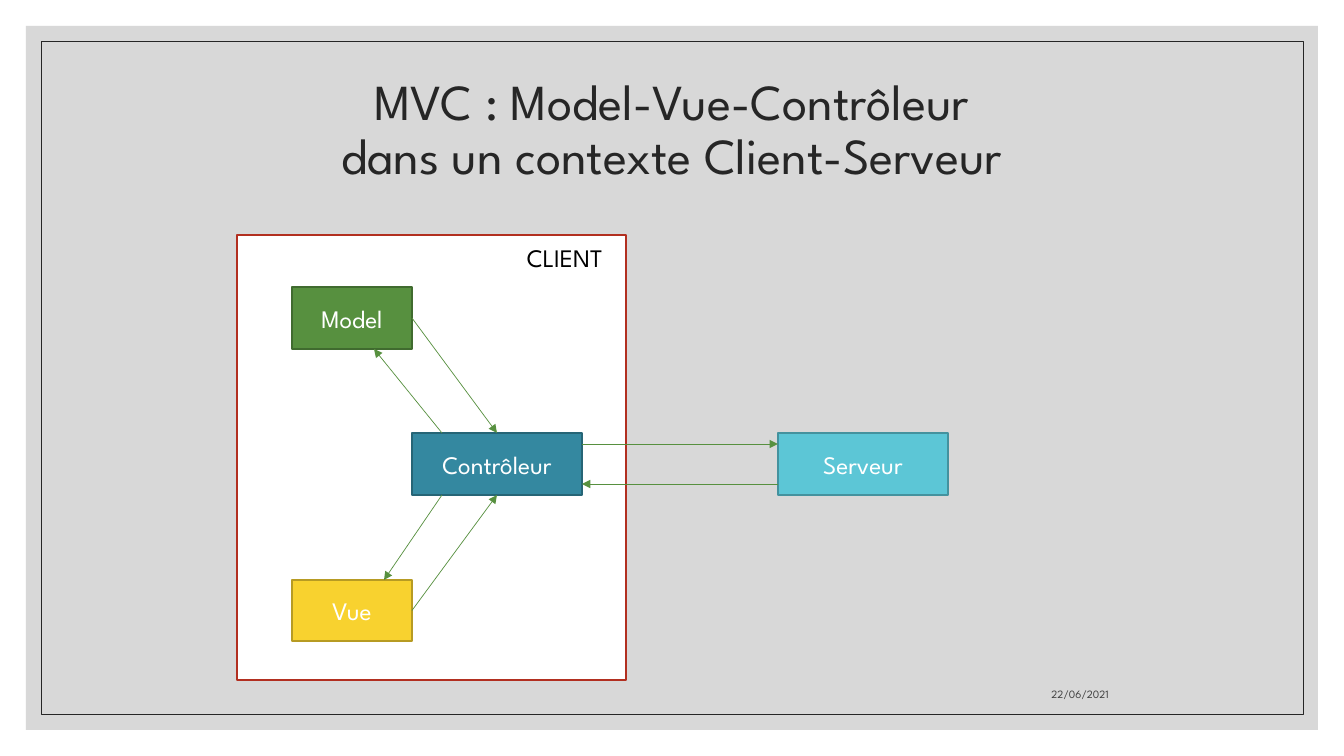
from pptx import Presentation
from pptx import util as u
from pptx.dml.color import RGBColor
from pptx.enum import shapes, text
from pptx.oxml import ns
from lxml import etree

PX = 914400 / 100.8
FONT = "League Spartan"
TOP, RIGHT, BOTTOM = 0, 3, 2


def px(*lengths):
    return [u.Emu(round(length * PX)) for length in lengths]


def color(value):
    return RGBColor.from_string(value)


deck = Presentation()
deck.slide_width, deck.slide_height = px(1344, 756)
page = deck.slides.add_slide(deck.slide_layouts[6])

# Panels and boxes: key, left, top, width, height, fill, line, line width
rectangles = [
    ("Backdrop", 26, 26, 1292, 704, "BFBFBF", None, 0),
    ("Frame", 41, 41, 1262, 673, None, "262626", 0.5),
    ("Client", 237, 235, 389, 445, "FFFFFF", "B22F20", 1),
    ("Contrôleur", 412, 433, 170, 62, "3488A0", "266576", 1),
    ("Model", 292, 287, 120, 62, "57903F", "406B2F", 1),
    ("Vue", 292, 580, 120, 61, "F8D22F", "B79B23", 1),
    ("Serveur", 778, 433, 170, 62, "5CC6D6", "44929E", 1),
]
boxes = {}
for key, left, top, width, height, fill, line, weight in rectangles:
    box = page.shapes.add_shape(shapes.MSO_SHAPE.RECTANGLE, *px(left, top, width, height))
    box.shadow.inherit = False
    if fill:
        box.fill.solid()
        box.fill.fore_color.rgb = color(fill)
    else:
        box.fill.background()
    if line:
        box.line.color.rgb = color(line)
        box.line.width = u.Pt(weight)
    else:
        box.line.fill.background()
    boxes[key] = box

backdrop_color = boxes["Backdrop"].fill._xPr.find(".//" + ns.qn("a:srgbClr"))
etree.SubElement(backdrop_color, ns.qn("a:alpha"), val="60000")

for word in ("Contrôleur", "Model", "Vue", "Serveur"):
    frame = boxes[word].text_frame
    frame.vertical_anchor = text.MSO_ANCHOR.MIDDLE
    para = frame.paragraphs[0]
    para.text = word
    para.alignment = text.PP_ALIGN.CENTER
    para.font.name = FONT
    para.font.size = u.Pt(18)
    para.font.color.rgb = color("FFFFFF")

# Arrows: start, end, joined box and side at start, then at end
arrows = [
    ((442, 433), (374, 349), None, None),
    ((442, 495), (384, 580), None, None),
    ((412, 611), (497, 495), ("Vue", RIGHT), ("Contrôleur", BOTTOM)),
    ((412, 318), (497, 433), ("Model", RIGHT), ("Contrôleur", TOP)),
    ((582, 444), (778, 444), None, None),
    ((778, 484), (582, 484), None, None),
]
for start, end, source, target in arrows:
    arrow = page.shapes.add_connector(shapes.MSO_CONNECTOR.STRAIGHT, *px(*start, *end))
    if source:
        arrow.begin_connect(boxes[source[0]], source[1])
    if target:
        arrow.end_connect(boxes[target[0]], target[1])
    arrow.line.color.rgb = color("57903F")
    arrow.line.width = u.Pt(0.5)
    etree.SubElement(arrow.line._get_or_add_ln(), ns.qn("a:tailEnd"), type="triangle")
    etree.SubElement(arrow._element.spPr, ns.qn("a:effectLst"))

# Text boxes: lines, position, size, colour, alignment, anchor, wrap, line spacing
labels = [
    (["MVC : Model-Vue-Contrôleur", "dans un contexte Client-Serveur"],
     (118, 71, 1108, 120), 36, "262626", text.PP_ALIGN.CENTER, text.MSO_ANCHOR.MIDDLE, True, 0.9),
    (["22/06/2021"], (800, 666, 319, 40), 8, "404040",
     text.PP_ALIGN.RIGHT, text.MSO_ANCHOR.BOTTOM, True, 1.0),
    (["CLIENT"], (517, 237, 102, 40), 18, "000000",
     text.PP_ALIGN.LEFT, text.MSO_ANCHOR.TOP, False, 1.0),
]
for lines, place, size, ink, alignment, anchor, wrap, spacing in labels:
    frame = page.shapes.add_textbox(*px(*place)).text_frame
    frame.word_wrap = wrap
    frame.vertical_anchor = anchor
    para = frame.paragraphs[0]
    for index, line in enumerate(lines):
        if index:
            para.add_line_break()
        para.add_run().text = line
    para.alignment = alignment
    para.line_spacing = spacing
    para.font.name = FONT
    para.font.size = u.Pt(size)
    para.font.color.rgb = color(ink)

deck.save("out.pptx")
